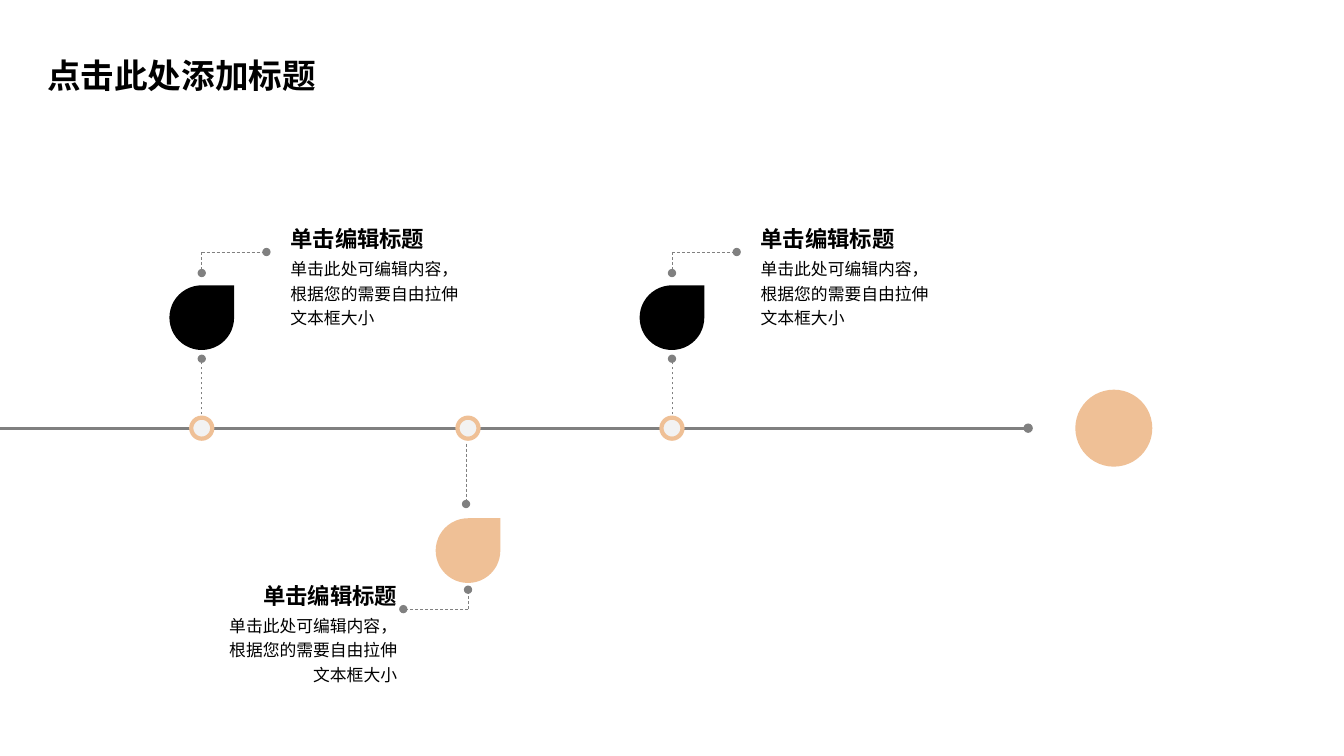
import dataclasses

import pptx
import pptx.dml.color
import pptx.enum.dml
import pptx.enum.shapes
import pptx.enum.text
import pptx.oxml
import pptx.oxml.ns
import pptx.util

Cm = pptx.util.Cm
RGBColor = pptx.dml.color.RGBColor
Shapes = pptx.enum.shapes.MSO_SHAPE
Align = pptx.enum.text.PP_ALIGN

BLACK = RGBColor(0x00, 0x00, 0x00)
GRAY = RGBColor(0x80, 0x80, 0x80)
PALE = RGBColor(0xF2, 0xF2, 0xF2)
PEACH = RGBColor(0xEF, 0xC0, 0x96)

CJK_FONT = "Noto Sans CJK SC"
HEADING = "单击编辑标题"
BODY = "单击此处可编辑内容，根据您的需要自由拉伸文本框大小"

AXIS = 10.79
DROP = 1.63
RING = 0.53
TEXT_WIDTH = 4.5


@dataclasses.dataclass
class Box:
    """A region of the slide, in centimetres."""
    left: float
    top: float
    width: float
    height: float

    @property
    def right(self):
        return self.left + self.width

    @property
    def bottom(self):
        return self.top + self.height

    def lengths(self):
        return [Cm(value) for value in dataclasses.astuple(self)]


def add_text(page, box, text, size, font="Arial", bold=False, align=Align.LEFT,
             spacing=1.2, margin=0, wrap=True):
    frame = page.shapes.add_textbox(*box.lengths()).text_frame
    frame.word_wrap = wrap
    frame.margin_left = frame.margin_right = Cm(margin)
    frame.margin_top = frame.margin_bottom = Cm(margin / 2)
    para = frame.paragraphs[0]
    para.alignment = align
    para.line_spacing = spacing
    span = para.add_run()
    span.text = text
    span.font.size = pptx.util.Pt(size)
    span.font.bold = bold
    span.font.color.rgb = BLACK
    span.font.name = font
    properties = span.font._element
    east_asian = pptx.oxml.ns.qn("a:ea")
    properties.makeelement(east_asian)
    properties.find(pptx.oxml.ns.qn("a:latin")).addnext(
        properties.makeelement(east_asian, {"typeface": CJK_FONT}))


def add_shape(page, kind, box, fill, outline=None):
    shape = page.shapes.add_shape(kind, *box.lengths())
    shape.shadow.inherit = False
    shape.fill.solid()
    shape.fill.fore_color.rgb = fill
    if outline is None:
        shape.line.fill.background()
    else:
        shape.line.color.rgb = outline
        shape.line.width = pptx.util.Pt(3)


def add_dotted_end_line(page, start, end, width=0.5, dashed=True):
    """Draw a line that ends in a round dot."""
    line = page.shapes.add_connector(
        pptx.enum.shapes.MSO_CONNECTOR.STRAIGHT,
        *(Cm(value) for value in (*start, *end)))
    line.line.color.rgb = GRAY
    line.line.width = pptx.util.Pt(width)
    if dashed:
        line.line.dash_style = pptx.enum.dml.MSO_LINE.DASH
    properties = line._element.spPr
    outline = properties.find(pptx.oxml.ns.qn("a:ln"))
    outline.append(outline.makeelement(pptx.oxml.ns.qn("a:tailEnd"), {"type": "oval"}))
    properties.append(properties.makeelement(pptx.oxml.ns.qn("a:effectLst")))


def add_ring(page, center):
    box = Box(center - RING / 2, AXIS - RING / 2, RING, RING)
    add_shape(page, Shapes.OVAL, box, PALE, PEACH)


def add_caption(page, left, top, align):
    add_text(page, Box(left, top, TEXT_WIDTH, 0.8), HEADING, 16, bold=True, align=align)
    add_text(page, Box(left, top + 0.89, TEXT_WIDTH, 1.85), BODY, 12, align=align)


def add_upper_milestone(page, box):
    """The box stands on the axis, with the drop at its left edge."""
    center = box.left + DROP / 2
    elbow = box.top + 0.81
    add_dotted_end_line(page, (center, box.bottom - 0.22), (center, box.bottom - 1.75))
    add_ring(page, center)
    add_shape(page, Shapes.TEAR, Box(box.left, box.top + 1.65, DROP, DROP), BLACK)
    add_dotted_end_line(page, (center, elbow), (center, elbow + 0.53))
    add_dotted_end_line(page, (center, elbow), (center + DROP, elbow))
    add_caption(page, box.right - TEXT_WIDTH, box.top, Align.LEFT)


def add_lower_milestone(page, box):
    """The box hangs from the axis, with the drop at its right edge."""
    center = box.right - DROP / 2
    elbow = box.top + 4.56
    add_ring(page, center)
    add_dotted_end_line(page, (center - 0.05, box.top + 0.39), (center - 0.05, box.top + 1.91))
    add_shape(page, Shapes.TEAR, Box(box.right - DROP, box.top + 2.27, DROP, DROP), PEACH)
    add_dotted_end_line(page, (center, elbow), (center, elbow - 0.49))
    add_dotted_end_line(page, (center, elbow), (center - DROP, elbow))
    add_caption(page, box.left, box.top + 3.74, Align.RIGHT)


def add_axis(page, box):
    """A line from the left edge, closed by a disc at the right edge."""
    middle = box.top + box.height / 2
    add_dotted_end_line(page, (box.left, middle), (box.right - 3.13, middle), 2.25, False)
    disc = Box(box.right - box.height, box.top, box.height, box.height)
    add_shape(page, Shapes.OVAL, disc, PEACH)


def main():
    deck = pptx.Presentation()
    deck.slide_width, deck.slide_height = Cm(33.87), Cm(19.05)
    page = deck.slides.add_slide(deck.slide_layouts[6])
    add_text(page, Box(0.94, 1.27, 7.65, 1.27), "点击此处添加标题", 24, font=CJK_FONT,
             bold=True, spacing=1.0, margin=0.25, wrap=False)
    add_axis(page, Box(0, AXIS - 0.97, 29.04, 1.94))
    for left in (4.27, 16.12):
        add_upper_milestone(page, Box(left, AXIS - 5.25, 7.55, 5.25))
    add_lower_milestone(page, Box(5.51, AXIS, 7.1, 6.48))
    deck.save("out.pptx")


if __name__ == "__main__":
    main()
